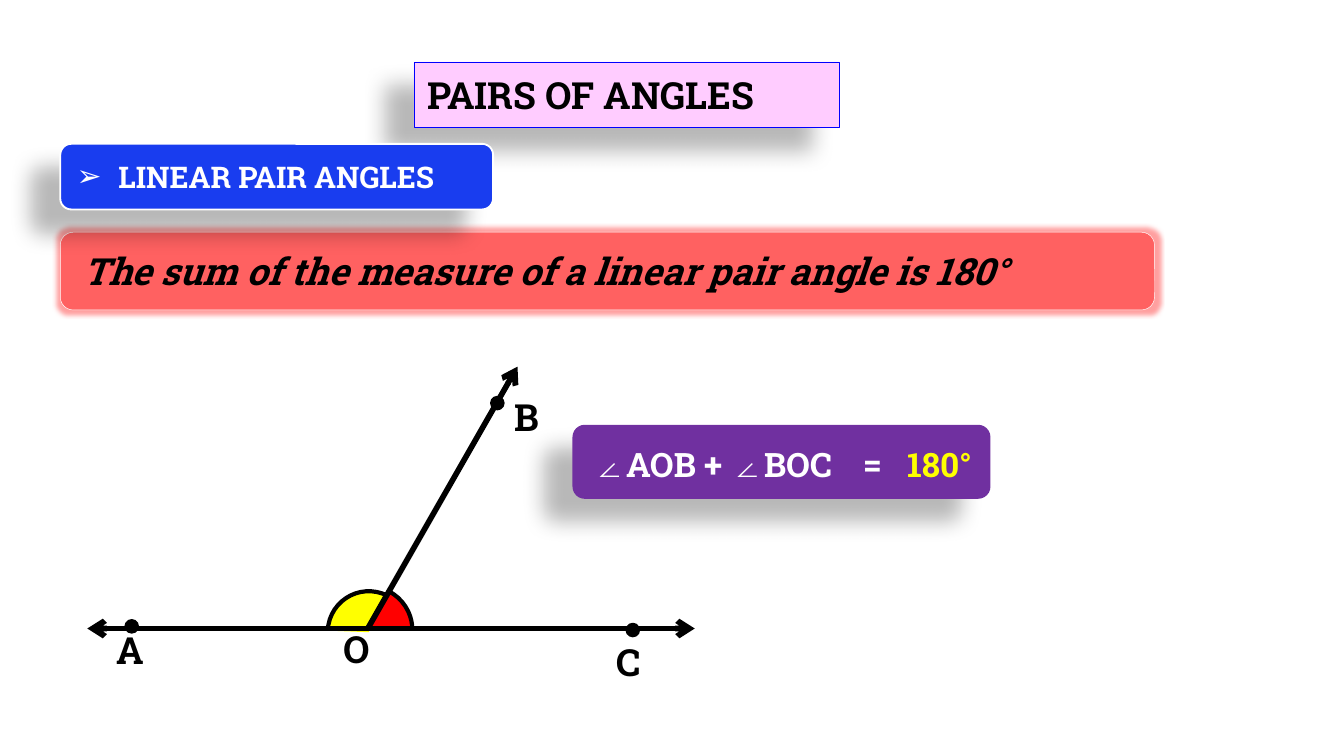
from lxml import etree
from pptx import Presentation
from pptx.dml.color import RGBColor
from pptx.enum.shapes import MSO_CONNECTOR, MSO_SHAPE
from pptx.enum.text import MSO_ANCHOR, PP_ALIGN
from pptx.oxml import parse_xml
from pptx.oxml.ns import nsdecls, qn
from pptx.util import Cm, Pt

ARC, OVAL, ROUNDED = MSO_SHAPE.ARC, MSO_SHAPE.OVAL, MSO_SHAPE.ROUNDED_RECTANGLE
STRAIGHT = MSO_CONNECTOR.STRAIGHT
LEFT, CENTER = PP_ALIGN.LEFT, PP_ALIGN.CENTER
TOP, MIDDLE = MSO_ANCHOR.TOP, MSO_ANCHOR.MIDDLE

THEME = {
    "font": "Roboto Slab", "symbol_font": "Arial",
    "black": "000000", "white": "FFFFFF", "yellow": "FFFF00", "red": "FF0000",
    "pink": "FFCCFF", "outline": "0000FF", "blue": "193DEF",
    "coral": "FF6161", "purple": "7030A0",
    "large": 20, "medium": 18, "small": 16,
}

SLIDE_SIZE = (25.4, 14.29)
TITLE = ("PAIRS OF ANGLES", (7.82, 1.17, 8.05, 1.24))
HEADING = ("LINEAR PAIR ANGLES", (1.14, 2.72, 8.18, 1.24))
RULE_BAR = (1.14, 4.39, 20.68, 1.47)
RULE = ("The sum of the measure of a linear pair angle is 180°", (1.32, 4.57, 22.17, 1.12))
EQUATION_BAR = (10.82, 8.03, 7.9, 1.4)
EQUATION = [  # box, alignment, colour, runs as (text, font)
    ((10.95, 8.26, 6.38, 1.02), LEFT, "white",
     [("∠", "symbol_font"), ("AOB + ", "font"), ("∠", "symbol_font"), ("BOC", "font")]),
    ((15.52, 8.26, 1.93, 1.02), CENTER, "white", [("=", "font")]),
    ((16.46, 8.26, 2.59, 1.02), CENTER, "yellow", [("180°", "font")]),
]
VERTEX = (6.95, 11.88)
RAY_TIPS = [(9.78, 6.93), (13.13, 11.88), (1.65, 11.88)]
POINTS = [(9.4, 7.62), (11.96, 11.91), (2.49, 11.84)]
DOT = 0.25
LABELS = [("A", 1.96, 11.73), ("B", 9.47, 7.32), ("C", 11.4, 11.96), ("O", 6.25, 11.71)]
LABEL_SIZE = (1.52, 1.12)
ANGLES = [  # centre, diameter, rotation, start and end in degrees, colour
    ((6.97, 11.95), 1.55, 288.6, (253.6, 9.3), "yellow"),
    ((6.97, 11.91), 1.65, 5, (294.7, 355.2), "red"),
]

SHADOW = ('<a:outerShdw blurRad="149860" dist="250190" dir="8460000" algn="tr" '
          'rotWithShape="0"><a:srgbClr val="000000"><a:alpha val="28000"/>'
          '</a:srgbClr></a:outerShdw>')
GLOW = '<a:glow rad="63500"><a:srgbClr val="FF6161"><a:alpha val="60000"/></a:srgbClr></a:glow>'


def color(name):
    return RGBColor.from_string(THEME[name])


def add_effects(shape, effect=""):
    shape._element.spPr.append(
        parse_xml(f'<a:effectLst {nsdecls("a")}>{effect}</a:effectLst>'))


def paint(shape, fill=None, line=None, width=1, effect=""):
    if fill:
        shape.fill.solid()
        shape.fill.fore_color.rgb = color(fill)
    else:
        shape.fill.background()
    if line:
        shape.line.color.rgb = color(line)
        shape.line.width = Pt(width)
    else:
        shape.line.fill.background()
    add_effects(shape, effect)


def add_figure(shapes, kind, box, **look):
    shape = shapes.add_shape(kind, *map(Cm, box))
    paint(shape, **look)
    return shape


def write(shape, runs, fill="black", size="large", align=LEFT, anchor=TOP, italic=None):
    frame = shape.text_frame
    for name, value in {"word_wrap": True, "vertical_anchor": anchor}.items():
        setattr(frame, name, value)
    paragraph = frame.paragraphs[0]
    paragraph.alignment = align
    for text, font in runs:
        run = paragraph.add_run()
        run.text = text
        values = {"name": THEME[font], "size": Pt(THEME[size]), "bold": True, "italic": italic}
        for name, value in values.items():
            setattr(run.font, name, value)
        run.font.color.rgb = color(fill)
    return paragraph


def add_text(shapes, box, runs, **style):
    write(shapes.add_textbox(*map(Cm, box)), runs, **style)


def add_title(slide):
    text, box = TITLE
    title = slide.shapes.title
    for name, value in zip(("left", "top", "width", "height"), box):
        setattr(title, name, Cm(value))
    title._element.spPr.append(parse_xml(
        f'<a:prstGeom {nsdecls("a")} prst="round2DiagRect"><a:avLst>'
        '<a:gd name="adj1" fmla="val 43000"/><a:gd name="adj2" fmla="val 0"/>'
        '</a:avLst></a:prstGeom>'))
    paint(title, "pink", "outline", 0.25, SHADOW)
    write(title, [(text, "font")], anchor=MIDDLE)


def add_heading(slide):
    text, box = HEADING
    shape = add_figure(slide.shapes, ROUNDED, box, fill="blue", line="white", effect=SHADOW)
    paragraph = write(shape, [(text, "font")], fill="white", size="small", anchor=MIDDLE)
    properties = paragraph._p.get_or_add_pPr()
    properties.set("marL", str(Cm(0.79)))
    properties.set("indent", str(Cm(-0.79)))
    etree.SubElement(properties, qn("a:buFont"), typeface="Wingdings 2")
    properties[-1].set("typeface", THEME["symbol_font"])
    etree.SubElement(properties, qn("a:buChar"), char="➢")


def centered(center, size):
    return center[0] - size / 2, center[1] - size / 2, size, size


def add_angles(shapes, outlined):
    for center, diameter, rotation, degrees, fill in ANGLES:
        look = {"line": "black", "width": 2.25} if outlined else {"fill": fill}
        arc = add_figure(shapes, ARC, centered(center, diameter), **look)
        arc.rotation = rotation
        for index, degree in enumerate(degrees):
            arc.adjustments[index] = degree * 0.6  # 60000 units a degree, scaled by 100000


def add_diagram(slide):
    shapes = slide.shapes.add_group_shape().shapes
    add_angles(shapes, outlined=True)
    for tip in RAY_TIPS:
        ray = shapes.add_connector(STRAIGHT, *map(Cm, VERTEX + tip))
        ray.line.color.rgb = color("black")
        ray.line.width = Pt(3)
        etree.SubElement(ray.line._get_or_add_ln(), qn("a:tailEnd"), type="arrow")
        add_effects(ray)
    for point in POINTS:
        add_figure(shapes, OVAL, centered(point, DOT), fill="black", line="black", width=0.75)
    for letter, left, top in LABELS:
        add_text(shapes, (left, top, *LABEL_SIZE), [(letter, "font")])


def main():
    presentation = Presentation()
    presentation.slide_width, presentation.slide_height = map(Cm, SLIDE_SIZE)
    slide = presentation.slides.add_slide(presentation.slide_layouts[5])
    add_title(slide)
    add_angles(slide.shapes, outlined=False)
    add_figure(slide.shapes, ROUNDED, EQUATION_BAR, fill="purple", effect=SHADOW)
    add_figure(slide.shapes, ROUNDED, RULE_BAR, fill="coral", line="white", width=0.25, effect=GLOW)
    add_heading(slide)
    text, box = RULE
    add_text(slide.shapes, box, [(text, "font")], italic=True)
    add_diagram(slide)
    for box, align, fill, runs in EQUATION:
        add_text(slide.shapes, box, runs, fill=fill, size="medium", align=align)
    presentation.save("out.pptx")


if __name__ == "__main__":
    main()
